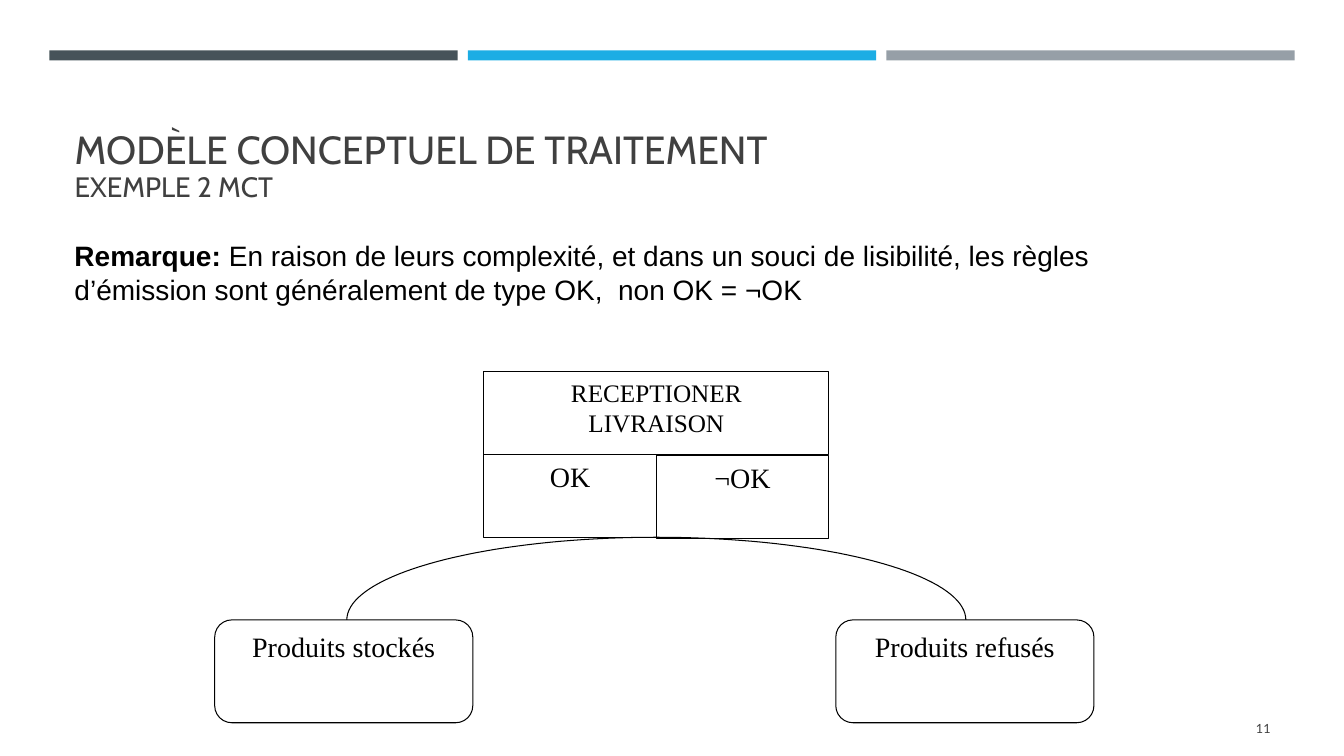
import math

from lxml import etree
from pptx import Presentation
from pptx.dml.color import RGBColor
from pptx.enum.shapes import MSO_SHAPE
from pptx.enum.text import MSO_ANCHOR, MSO_AUTO_SIZE, PP_ALIGN
from pptx.util import Inches, Pt

RECTANGLE = MSO_SHAPE.RECTANGLE
ROUNDED_BOX = MSO_SHAPE.FLOWCHART_ALTERNATE_PROCESS
TOP, MIDDLE, BOTTOM = MSO_ANCHOR.TOP, MSO_ANCHOR.MIDDLE, MSO_ANCHOR.BOTTOM
LEFT, CENTER, RIGHT = PP_ALIGN.LEFT, PP_ALIGN.CENTER, PP_ALIGN.RIGHT
NO_AUTOFIT = MSO_AUTO_SIZE.NONE
BLACK, WHITE, DARK_GREY = "000000", "FFFFFF", "404040"


def color(hex_string):
    """Turn a hex string into a colour."""
    return RGBColor.from_string(hex_string)


def write(shape, parts, font_name, hex_string, alignment, anchor):
    """Fill a shape with one paragraph made of (text, size, bold) parts."""
    frame = shape.text_frame
    frame.word_wrap = True
    frame.auto_size = NO_AUTOFIT
    frame.vertical_anchor = anchor
    paragraph = frame.paragraphs[0]
    paragraph.text = "".join(text for text, size, bold in parts[:1])
    paragraph.alignment = alignment
    for text, size, bold in parts[1:]:
        paragraph.add_run().text = text
    # A line break splits a part in several runs that share its format
    sizes = [part[1:] for part in parts for line in part[0].split("\v") if line]
    for run, (size, bold) in zip(paragraph.runs, sizes):
        run.font.name = font_name
        run.font.size = Pt(size)
        run.font.bold = bold
        run.font.color.rgb = color(hex_string)


presentation = Presentation()
presentation.slide_width = Inches(13.33)
presentation.slide_height = Inches(7.5)
slide = presentation.slides.add_slide(presentation.slide_layouts[5])
shapes = slide.shapes

# Three-colour band
for column, band_color in enumerate(("465359", "1CADE4", "969FA7")):
    band = shapes.add_shape(RECTANGLE, Inches(0.49 + 4.15 * column), Inches(0.5),
                            Inches(4.05), Inches(0.1))
    band.shadow.inherit = False
    band.fill.solid()
    band.fill.fore_color.rgb = color(band_color)
    band.line.fill.background()

# Title
title = shapes.title
title.left, title.top = Inches(0.64), Inches(0.77)
title.width, title.height = Inches(12.06), Inches(1.3)
write(title, [("MODÈLE CONCEPTUEL DE TRAITEMENT\v", 28, False),
              ("EXEMPLE 2 MCT", 20, False)], "Cabin", DARK_GREY, LEFT, BOTTOM)
title.text_frame.paragraphs[0].line_spacing = 0.9

# Remark and page number
remark = shapes.add_textbox(Inches(0.64), Inches(2.32), Inches(11.25), Inches(1.11))
write(remark, [("Remarque: ", 20, True),
               ("En raison de leurs complexité, et dans un souci de lisibilité, "
                "les règles d’émission sont généralement de type OK,  "
                "non OK = ¬OK", 20, False)], "Arial", BLACK, LEFT, TOP)
page_number = shapes.add_textbox(Inches(11.55), Inches(7.03), Inches(1.15), Inches(0.4))
write(page_number, [("11", 9, False)], "Lato", DARK_GREY, RIGHT, MIDDLE)

# Operation, its two emission rules and the resulting events
center_x, operation_top, row_height = 6.51, 3.69, 0.82
rule_width, event_width, event_height = 1.71, 2.56, 1.02
rules_top = operation_top + row_height
arcs_top = rules_top + row_height
events_top = arcs_top + row_height
boxes = [
    (RECTANGLE, center_x - rule_width, operation_top, 2 * rule_width, row_height,
     "RECEPTIONER\vLIVRAISON", 18),
    (RECTANGLE, center_x - rule_width, rules_top, rule_width, row_height, "OK", 20),
    (RECTANGLE, center_x, rules_top + 0.01, rule_width, row_height, "¬OK", 20),
    (ROUNDED_BOX, 2.13, events_top, event_width, event_height, "Produits stockés", 20),
    (ROUNDED_BOX, 8.29, events_top, event_width, event_height, "Produits refusés", 20),
]
for kind, left, top, width, height, text, size in boxes:
    box = shapes.add_shape(kind, Inches(left), Inches(top), Inches(width), Inches(height))
    box.shadow.inherit = False
    box.fill.solid()
    box.fill.fore_color.rgb = color(WHITE)
    box.line.color.rgb = color(BLACK)
    box.line.width = Pt(0.75)
    write(box, [(text, size, False)], "Times New Roman", BLACK, CENTER, TOP)

# Quarter-ellipse links from the rules to the events
arc_width, steps = 3.07, 40
for side in (-1, 1):
    angles = [math.pi / 2 * step / steps for step in range(steps + 1)]
    points = [(Inches(center_x + side * arc_width * math.sin(angle)),
               Inches(events_top - row_height * math.cos(angle))) for angle in angles]
    builder = shapes.build_freeform(*points[0])
    builder.add_line_segments(points[1:], close=False)
    link = builder.convert_to_shape()
    link.shadow.inherit = False
    link.fill.background()
    link.line.color.rgb = color(BLACK)
    link.line.width = Pt(0.75)

presentation.save("out.pptx")
